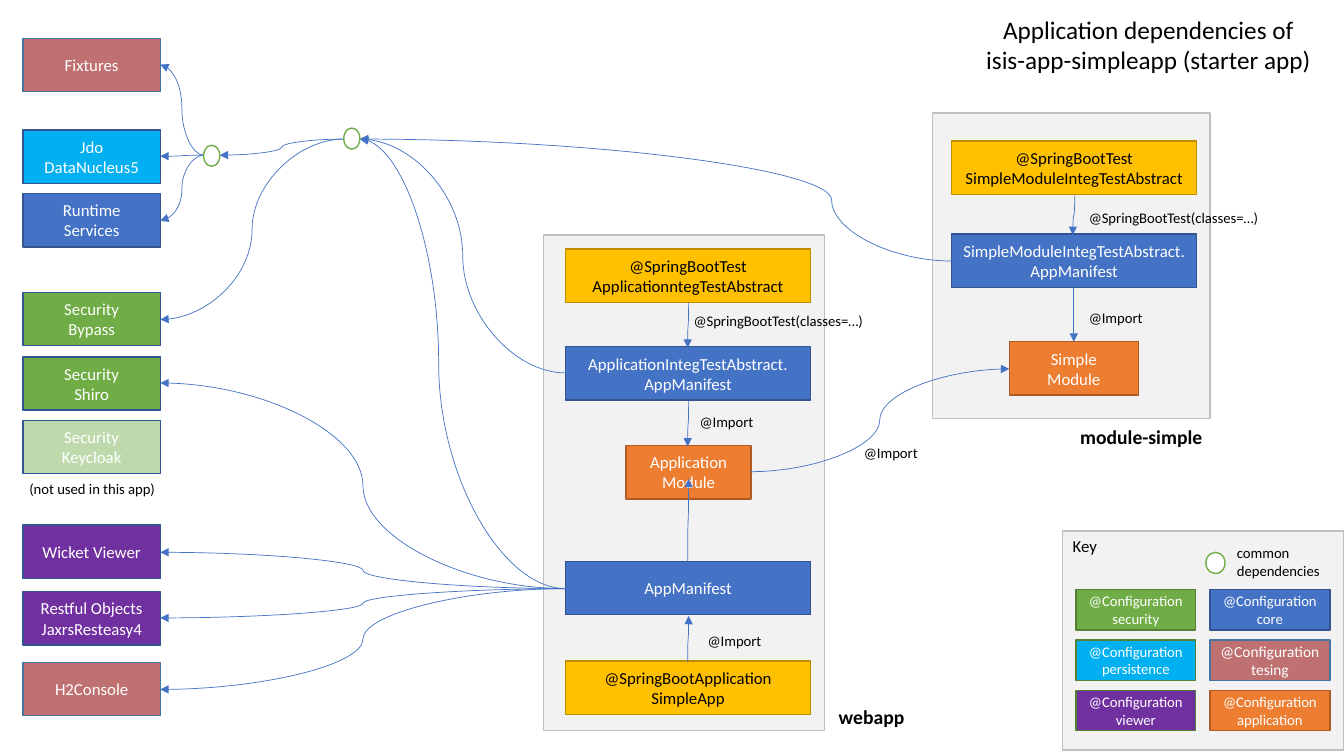
"""Draw the dependency map of the simple starter app on one slide."""
import pptx
import pptx.dml.color
import pptx.enum.shapes
import pptx.enum.text
import pptx.util
import lxml.etree

deck = pptx.Presentation()
cell = pptx.util.Inches(0.01)
deck.slide_width, deck.slide_height = pptx.util.Inches(13.33), pptx.util.Inches(7.5)
page = deck.slides.add_slide(deck.slide_layouts[6]).shapes
kinds = pptx.enum.shapes.MSO_SHAPE
aligns = pptx.enum.text.PP_ALIGN
anchors = pptx.enum.text.MSO_ANCHOR
space = "{http://schemas.openxmlformats.org/drawingml/2006/main}"

BLUE, GREEN, WHITE, BLACK = "4472C4", "70AD47", "FFFFFF", "000000"
NAVY, MOSS, STEEL = "325491", "538035", "43739E"
SKY, PLUM, ROSE = "00B0F0", "7030A0", "BF7171"
GOLD = ("FFC000", "BD8E00", BLACK)
CORE = (BLUE, NAVY, WHITE)
RUST = ("ED7D31", "AF5C24", WHITE)
PANEL = ("F2F2F2", "BFBFBF", BLACK)


def tint(code):
    return pptx.dml.color.RGBColor.from_string(code)


def block(at, text="", look=None, size=12, kind=kinds.RECTANGLE,
          align=aligns.CENTER, anchor=anchors.MIDDLE, bold=False):
    """Place a text box, or a filled shape when look gives fill, edge and ink."""
    spot = [cell * n for n in at]
    shape = page.add_shape(kind, *spot) if look else page.add_textbox(*spot)
    if look:
        shape.shadow.inherit = False
        shape.fill.solid()
        shape.fill.fore_color.rgb = tint(look[0])
        shape.line.color.rgb = tint(look[1])
        shape.line.width = pptx.util.Pt(1)
    if text:
        frame = shape.text_frame
        frame.word_wrap = True
        frame.vertical_anchor = anchor
        para = frame.paragraphs[0]
        para.text = text
        para.alignment = align
        form = {"name": "Calibri", "size": pptx.util.Pt(size), "bold": bold}
        for key, value in form.items():
            setattr(para.font, key, value)
        para.font.color.rgb = tint(look[2] if look else BLACK)
    return shape


for at, text in [((925, 112, 275, 303), ""), ((539, 233, 279, 492), ""),
                 ((1054, 527, 279, 217), "Key")]:
    block(at, text, PANEL, align=aligns.LEFT, anchor=anchors.TOP)

TALL = 53
parts = {}
for top, text, fill, edge in [
    (38, "Fixtures", ROSE, STEEL),
    (129, "Jdo\nDataNucleus5", SKY, NAVY),
    (192, "Runtime\nServices", BLUE, NAVY),
    (290, "Security\nBypass", GREEN, NAVY),
    (354, "Security\nShiro", GREEN, NAVY),
    (417, "Security\nKeycloak", GREEN, NAVY),
    (521, "Wicket Viewer", PLUM, NAVY),
    (587, "Restful Objects\nJaxrsResteasy4", PLUM, NAVY),
    (657, "H2Console", ROSE, STEEL),
]:
    parts[text] = block((23, top, 136, TALL), text, (fill, edge, WHITE))
faint = parts["Security\nKeycloak"].fill._xPr.find(f".//{space}srgbClr")
lxml.etree.SubElement(faint, space + "alpha", val="45000")

for left, top, wide, text, look in [
    (561, 247, 243, "@SpringBootTest\nApplicationntegTestAbstract", GOLD),
    (561, 344, 243, "ApplicationIntegTestAbstract.\nAppManifest", CORE),
    (621, 442, 124, "Application\nModule", RUST),
    (561, 557, 243, "AppManifest", CORE),
    (561, 656, 243, "@SpringBootApplication\nSimpleApp", GOLD),
    (944, 140, 243, "@SpringBootTest\nSimpleModuleIntegTestAbstract", GOLD),
    (944, 232, 243, "SimpleModuleIntegTestAbstract.\nAppManifest", CORE),
    (1001, 339, 128, "Simple\nModule", RUST),
]:
    block((left, top, wide, TALL), text, look)

legend = [
    ("security", (GREEN, MOSS, WHITE), 10.5), ("core", CORE, 10.5),
    ("persistence", (SKY, MOSS, WHITE), 10.5), ("tesing", (ROSE, STEEL, WHITE), 11),
    ("viewer", (PLUM, MOSS, WHITE), 10.5), ("application", RUST, 10.5),
]
for n, (role, look, size) in enumerate(legend):
    row, col = divmod(n, 2)
    block((1067 + 133 * col, 585 + 50 * row, 119, 40), "@Configuration\n" + role, look, size)

APP, HUB, FORK, EDGE = (561, 584), (357, 138), (202, 154), 159
links = [(APP, (EDGE, y), 0.5) for y in (380, 548, 613, 684)]
links += [(FORK, (EDGE, y), 0.5) for y in (64, 155, 219)]
links += [
    (APP, HUB, 0.617), ((561, 370), HUB, 0.5), ((944, 259), HUB, 0.203),
    ((341, 138), (218, 154), 0.5), ((341, 138), (EDGE, 317), 0.5),
    ((744, 468), (1001, 366), 0.5),
    ((682, 657), (683, 611), 0.5), ((682, 558), (683, 475), 0.5),
    ((683, 300), (682, 345), 0.5), ((683, 398), (682, 443), 0.5),
    ((1066, 194), (1064, 233), 0.5), ((1065, 285), (1065, 339), 0.5),
]
for start, stop, bend in links:
    (x, y), (u, v) = start, stop
    upright = abs(u - x) < 5
    if upright:
        mid, level = (x + u) / 2, (y + v) / 2
        half, lean = abs(v - y) / 2, abs(u - x) / 2
        start, stop = (mid - half, level - lean), (mid + half, level + lean)
    ends = [int(cell * n) for n in start + stop]
    link = page.add_connector(pptx.enum.shapes.MSO_CONNECTOR.CURVE, *ends)
    link.line.color.rgb = tint(BLUE)
    link.line.width = pptx.util.Pt(0.5)
    props = link._element.spPr
    if upright:
        props.find(space + "xfrm").set("rot", "5400000" if v > y else "16200000")
    guide = props.find(f".//{space}avLst")
    lxml.etree.SubElement(guide, space + "gd", name="adj1", fmla=f"val {round(bend * 100000)}")
    lxml.etree.SubElement(props.find(space + "ln"), space + "tailEnd", type="triangle")
    lxml.etree.SubElement(props, space + "effectLst")

for at in [(202, 144, 16, 21), (341, 127, 16, 21), (1196, 548, 19, 21)]:
    block(at, look=(WHITE, GREEN, BLACK), kind=kinds.OVAL)

for left, top in [(692, 622), (847, 435), (684, 405), (1070, 301)]:
    block((left, top, 79, 28), "@Import", size=10.5, align=aligns.LEFT, anchor=anchors.TOP)
for at, text, size, align, bold in [
    ((1070, 202, 205, 28), "@SpringBootTest(classes=…)", 10.5, aligns.LEFT, False),
    ((678, 304, 205, 28), "@SpringBootTest(classes=…)", 10.5, aligns.LEFT, False),
    ((1217, 535, 103, 45), "common dependencies", 10.5, aligns.LEFT, False),
    ((3, 471, 177, 28), "(not used in this app)", 10.5, aligns.CENTER, False),
    ((964, 9, 350, 71), "Application dependencies of\nisis-app-simpleapp (starter app)",
     18, aligns.CENTER, False),
    ((822, 694, 205, 34), "webapp", 14, aligns.LEFT, True),
    ((1059, 417, 146, 34), "module-simple", 14, aligns.CENTER, True),
]:
    block(at, text, size=size, align=align, anchor=anchors.TOP, bold=bold)

deck.save("out.pptx")
